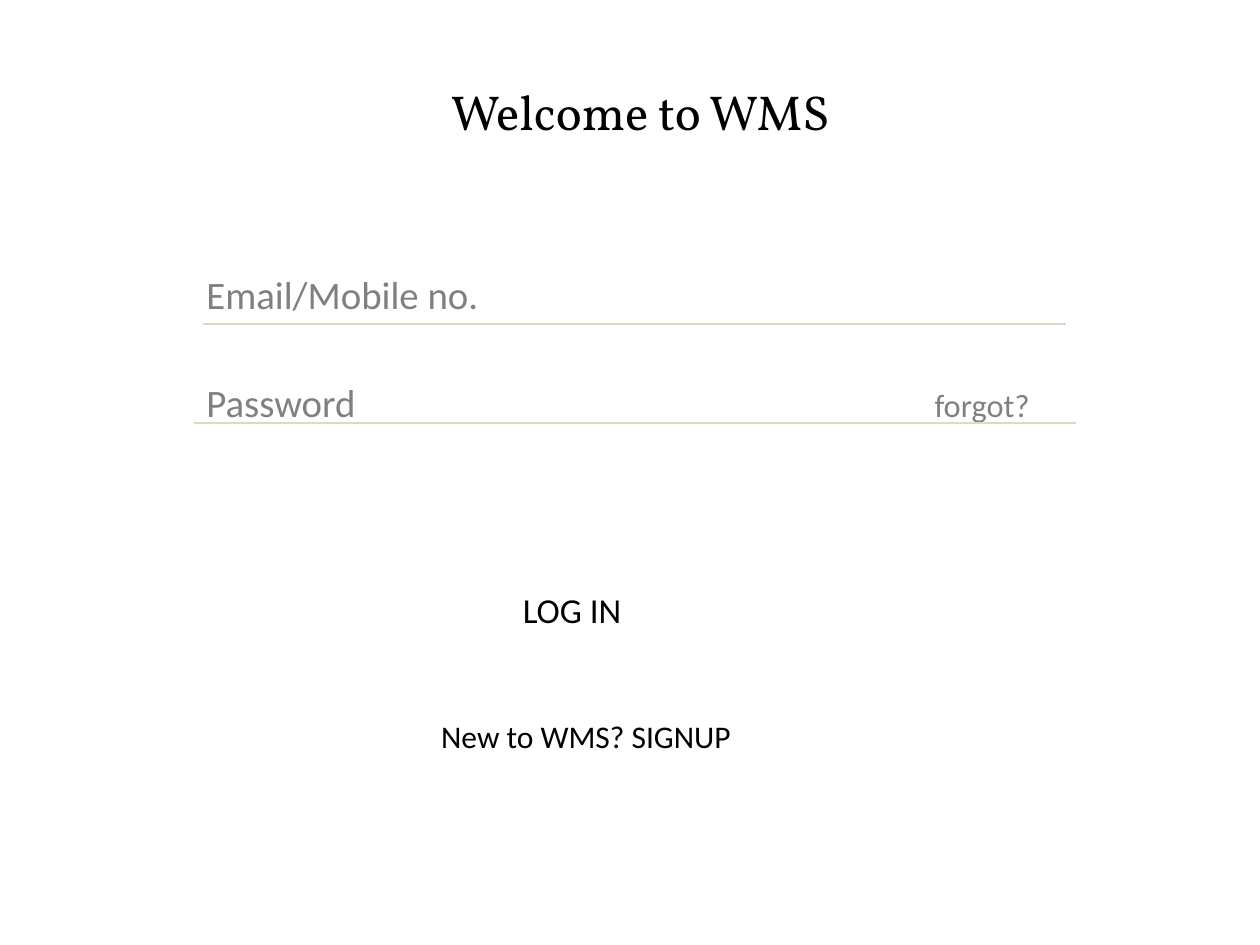
from dataclasses import dataclass

import pptx
import pptx.dml.color
import pptx.enum.shapes
import pptx.enum.text
import pptx.oxml
import pptx.oxml.ns
import pptx.util
from pptx.util import Cm, Pt

RGB = pptx.dml.color.RGBColor
ALIGN = pptx.enum.text.PP_ALIGN
ANCHOR = pptx.enum.text.MSO_ANCHOR


@dataclass(frozen=True)
class Theme:
    heading_font: str = "Vollkorn"
    body_font: str = "Calibri"
    ink: RGB = RGB(0, 0, 0)
    hint: RGB = RGB(0x80, 0x80, 0x80)
    rule: RGB = RGB(0xDD, 0xD9, 0xC3)
    title_size: float = 28
    field_size: float = 22.2
    forgot_size: float = 18.5
    login_size: float = 20
    signup_size: float = 18
    rule_width: float = 0.75


@dataclass(frozen=True)
class Box:
    """Position and size in centimetres."""
    left: float
    top: float
    width: float
    height: float


@dataclass(frozen=True)
class Action:
    label: str
    box: Box
    size: float
    align: ALIGN
    inset: float = 0.25


@dataclass(frozen=True)
class Rule:
    left: float
    right: float
    y: float


THEME = Theme()
TITLE_BOX = Box(2.11, 0.53, 21.59, 3.4)
FIELDS_BOX = Box(3.91, 5.33, 17.78, 4.19)
FIELD_GAP = 35
FORGOT_TAB = 14.68
ACTIONS = (
    Action("LOG IN", Box(7.7, 11.73, 8.2, 1.12), THEME.login_size, ALIGN.LEFT, 2.84),
    Action("New to WMS? SIGNUP", Box(6.71, 14.33, 10.21, 1.02), THEME.signup_size, ALIGN.CENTER),
)
RULES = (Rule(4.09, 21.49, 6.53), Rule(3.91, 21.69, 8.53))


def style(font, name: str, size: float, color: RGB) -> None:
    font.name = name
    font.size = Pt(size)
    font.color.rgb = color


def add_title(slide, label: str) -> None:
    title = slide.shapes.title
    title.left, title.top = Cm(TITLE_BOX.left), Cm(TITLE_BOX.top)
    title.width, title.height = Cm(TITLE_BOX.width), Cm(TITLE_BOX.height)
    title.text_frame.text = label
    title.text_frame.vertical_anchor = ANCHOR.MIDDLE
    heading = title.text_frame.paragraphs[0]
    heading.alignment = ALIGN.CENTER
    style(heading.font, THEME.heading_font, THEME.title_size, THEME.ink)


def add_text_frame(slide, box: Box):
    frame = slide.shapes.add_textbox(
        Cm(box.left), Cm(box.top), Cm(box.width), Cm(box.height)).text_frame
    frame.word_wrap = True
    return frame


def add_tab_stop(paragraph, position: float) -> None:
    properties = paragraph._p.get_or_add_pPr()
    stops = pptx.oxml.parse_xml(
        f'<a:tabLst {pptx.oxml.ns.nsdecls("a")}>'
        f'<a:tab pos="{int(Cm(position))}" algn="l"/></a:tabLst>')
    properties.insert_element_before(stops, "a:defRPr", "a:extLst")


def add_fields(slide) -> None:
    frame = add_text_frame(slide, FIELDS_BOX)
    email, password = frame.paragraphs[0], frame.add_paragraph()
    email.text = "Email/Mobile no."
    password.text = "Password\t"
    password.space_before = Pt(FIELD_GAP)
    for field in (email, password):
        style(field.font, THEME.body_font, THEME.field_size, THEME.hint)
    add_tab_stop(password, FORGOT_TAB)
    forgot = password.add_run()
    forgot.text = "forgot?"
    forgot.font.size = Pt(THEME.forgot_size)


def add_action(slide, action: Action) -> None:
    frame = add_text_frame(slide, action.box)
    frame.margin_left = Cm(action.inset)
    label = frame.paragraphs[0]
    label.text = action.label
    label.alignment = action.align
    style(label.font, THEME.body_font, action.size, THEME.ink)


def add_rule(slide, rule: Rule) -> None:
    underline = slide.shapes.add_connector(
        pptx.enum.shapes.MSO_CONNECTOR.STRAIGHT,
        Cm(rule.left), Cm(rule.y), Cm(rule.right), Cm(rule.y))
    underline.line.color.rgb = THEME.rule
    underline.line.width = Pt(THEME.rule_width)
    underline._element.spPr.append(
        pptx.oxml.parse_xml(f'<a:effectLst {pptx.oxml.ns.nsdecls("a")}/>'))


def main() -> None:
    deck = pptx.Presentation()
    deck.slide_width, deck.slide_height = Cm(25.4), Cm(19.05)
    slide = deck.slides.add_slide(deck.slide_layouts.get_by_name("Title Only"))
    add_title(slide, "Welcome to WMS")
    add_fields(slide)
    for action in ACTIONS:
        add_action(slide, action)
    for rule in RULES:
        add_rule(slide, rule)
    deck.save("out.pptx")


if __name__ == "__main__":
    main()
